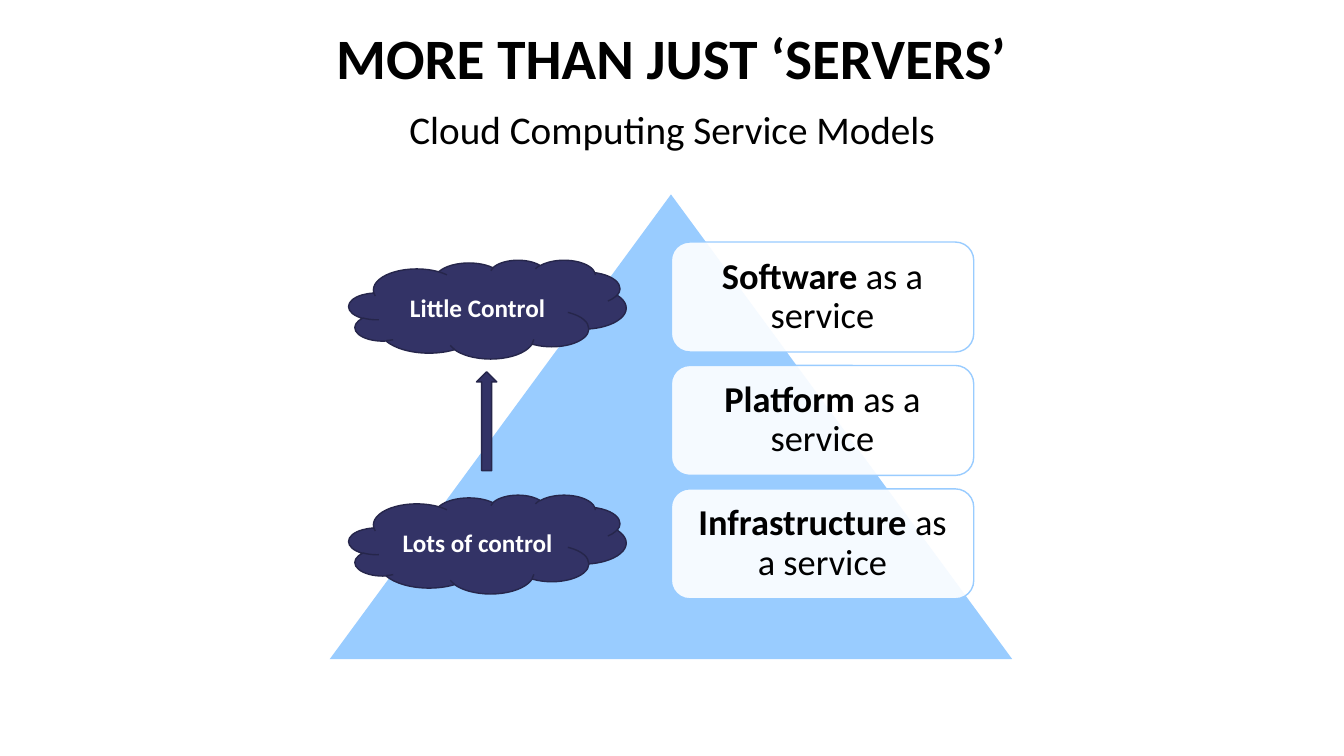
import pptx
import pptx.util
import pptx.dml.color
import pptx.enum.shapes
import pptx.enum.text
import pptx.oxml
import pptx.oxml.ns

Cm = pptx.util.Cm
Pt = pptx.util.Pt
RGBColor = pptx.dml.color.RGBColor
Shapes = pptx.enum.shapes.MSO_SHAPE
Anchor = pptx.enum.text.MSO_ANCHOR

BLACK = RGBColor(0x00, 0x00, 0x00)
WHITE = RGBColor(0xFF, 0xFF, 0xFF)
SKY = RGBColor(0x99, 0xCC, 0xFF)
NAVY = RGBColor(0x33, 0x33, 0x66)
DARK_NAVY = RGBColor(0x26, 0x26, 0x4B)

SERVICES = ["Software", "Platform", "Infrastructure"]
SERVICE_TOP, SERVICE_PITCH = 6.1, 3.11
CONTROLS = [("Little Control", 6.55), ("Lots of control", 12.47)]


def add_figure(slide, kind, left, top, width, height, fill, line=None):
    shape = slide.shapes.add_shape(kind, Cm(left), Cm(top), Cm(width), Cm(height))
    shape.shadow.inherit = False
    shape.fill.solid()
    shape.fill.fore_color.rgb = fill
    if line is None:
        shape.line.fill.background()
    else:
        shape.line.color.rgb = line
        shape.line.width = Pt(1)
    return shape


def set_opacity(shape, percent):
    color = shape.fill._xPr.find(".//" + pptx.oxml.ns.qn("a:srgbClr"))
    alpha = pptx.oxml.parse_xml(
        f'<a:alpha {pptx.oxml.ns.nsdecls("a")} val="{percent * 1000}"/>')
    color.append(alpha)


def write_centered(shape, text, size, color, bold=None, anchor=Anchor.MIDDLE):
    frame = shape.text_frame
    frame.word_wrap = True
    frame.vertical_anchor = anchor
    paragraph = frame.paragraphs[0]
    paragraph.alignment = pptx.enum.text.PP_ALIGN.CENTER
    paragraph.font.name = "Calibri"
    paragraph.font.size = Pt(size)
    paragraph.font.color.rgb = color
    paragraph.font.bold = bold
    paragraph.add_run().text = text
    return paragraph


def add_heading(slide, text, left, top, width, height, size, bold):
    box = slide.shapes.add_textbox(Cm(left), Cm(top), Cm(width), Cm(height))
    paragraph = write_centered(box, text, size, BLACK, bold, Anchor.TOP)
    paragraph.line_spacing = 0.9


def add_service(slide, name, top):
    card = add_figure(slide, Shapes.ROUNDED_RECTANGLE, 16.92, top, 7.62, 2.77, WHITE, SKY)
    set_opacity(card, 90)
    frame = card.text_frame
    frame.margin_left = frame.margin_right = Cm(0.28)
    frame.margin_top = frame.margin_bottom = Cm(0.28)
    paragraph = write_centered(card, name, 26, BLACK)
    paragraph.line_spacing = 0.9
    paragraph.runs[0].font.bold = True
    paragraph.add_run().text = " as a service"


def add_cloud(slide, text, top):
    cloud = add_figure(slide, Shapes.CLOUD, 8.79, top, 6.99, 2.49, NAVY, DARK_NAVY)
    write_centered(cloud, text, 18, WHITE, True)


def main():
    presentation = pptx.Presentation()
    presentation.slide_width = Cm(33.87)
    presentation.slide_height = Cm(19.05)
    slide = presentation.slides.add_slide(presentation.slide_layouts[6])

    # Pyramid with the service models
    add_figure(slide, Shapes.ISOSCELES_TRIANGLE, 8.31, 4.9, 17.2, 11.71, SKY)
    for index, name in enumerate(SERVICES):
        add_service(slide, name, SERVICE_TOP + index * SERVICE_PITCH)

    # Title and subtitle
    add_heading(slide, "MORE THAN JUST ‘SERVERS’", 0.61, 0.64, 32.61, 1.85, 40.8, True)
    add_heading(slide, "Cloud Computing Service Models", 7.06, 2.67, 19.76, 1.19, 28, False)

    # Scale of control
    for text, top in CONTROLS:
        add_cloud(slide, text, top)
    add_figure(slide, Shapes.UP_ARROW, 12.01, 9.37, 0.51, 2.49, NAVY, DARK_NAVY)

    presentation.save("out.pptx")


if __name__ == "__main__":
    main()
